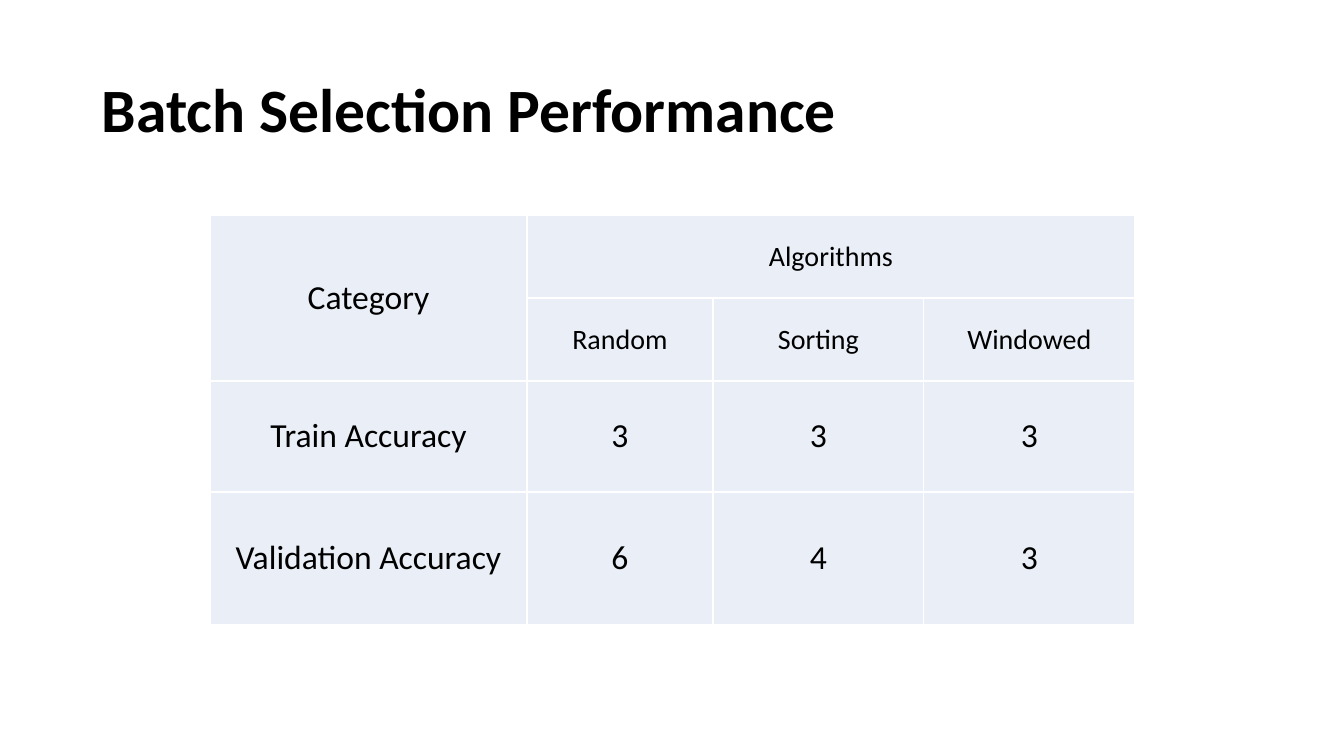
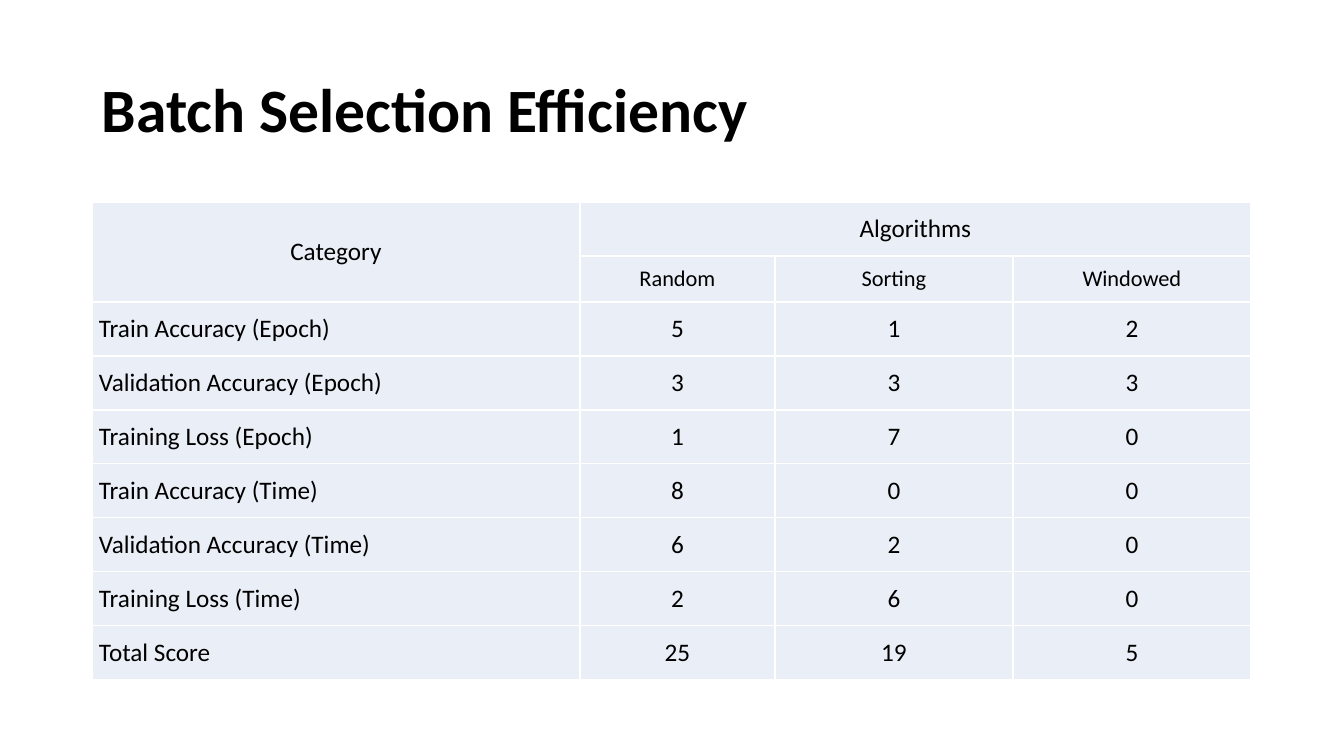
import pptx
import pptx.dml.color
import pptx.enum.text
import pptx.util
from lxml import etree

SLIDE_WIDTH, SLIDE_HEIGHT = 1344, 756
EMU_PER_PX = 12192000 / SLIDE_WIDTH
FONT = "Calibri"
TEXT, CELL_FILL, GRID = "000000", "EAEFF7", "FFFFFF"
ALIGN = pptx.enum.text.PP_ALIGN
MIDDLE = pptx.enum.text.MSO_ANCHOR.MIDDLE
DRAWING_NS = "http://schemas.openxmlformats.org/drawingml/2006/main"


def px(length):
    return pptx.util.Emu(round(length * EMU_PER_PX))


def write(frame, text, size, align, bold=False):
    paragraph = frame.paragraphs[0]
    paragraph.text = text
    paragraph.alignment = align
    font = paragraph.font
    font.name, font.size, font.bold = FONT, pptx.util.Pt(size), bold
    font.color.rgb = pptx.dml.color.RGBColor.from_string(TEXT)
    return paragraph


HEADER = [
    ["Category", "Algorithms", "", ""],
    ["", "Random", "Sorting", "Windowed"],
]
SLIDES = [
    {
        "title": "Batch Selection Performance",
        "corner": (210, 215),
        "columns": [317, 186, 211, 211],
        "rows": [83, 83, 111, 133],
        "body_size": 24, "group_size": 20, "algorithm_size": 20,
        "label_align": ALIGN.CENTER,
        "scores": [
            ["Train Accuracy", 3, 3, 3],
            ["Validation Accuracy", 6, 4, 3],
        ],
    },
    {
        "title": "Batch Selection Efficiency",
        "corner": (92, 202),
        "columns": [488, 195, 238, 238],
        "rows": [54, 46] + [54] * 7,
        "body_size": 18, "group_size": 18, "algorithm_size": 16,
        "label_align": ALIGN.JUSTIFY,
        "scores": [
            ["Train Accuracy (Epoch)", 5, 1, 2],
            ["Validation Accuracy (Epoch)", 3, 3, 3],
            ["Training Loss (Epoch)", 1, 7, 0],
            ["Train Accuracy (Time)", 8, 0, 0],
            ["Validation Accuracy (Time)", 6, 2, 0],
            ["Training Loss (Time)", 2, 6, 0],
            ["Total Score", 25, 19, 5],
        ],
    },
]

deck = pptx.Presentation()
deck.slide_width, deck.slide_height = px(SLIDE_WIDTH), px(SLIDE_HEIGHT)

for content in SLIDES:
    slide = deck.slides.add_slide(deck.slide_layouts[6])

    title = slide.shapes.add_textbox(px(92), px(40), px(1159), px(146)).text_frame
    title.word_wrap = True
    title.vertical_anchor = MIDDLE
    write(title, content["title"], 44, ALIGN.LEFT, bold=True).line_spacing = 0.9

    left, top = content["corner"]
    widths, heights = content["columns"], content["rows"]
    table = slide.shapes.add_table(
        len(heights), len(widths), px(left), px(top), px(sum(widths)), px(sum(heights))
    ).table
    table.first_row = table.horz_banding = False
    for column, width in zip(table.columns, widths):
        column.width = px(width)
    for row, height in zip(table.rows, heights):
        row.height = px(height)
    table.cell(0, 0).merge(table.cell(1, 0))
    table.cell(0, 1).merge(table.cell(0, 3))

    for r, values in enumerate(HEADER + content["scores"]):
        for c, value in enumerate(values):
            cell = table.cell(r, c)
            cell.margin_left = cell.margin_right = px(7)
            cell.margin_top = cell.margin_bottom = 0
            cell.vertical_anchor = MIDDLE

            # Borders must precede the fill in the cell properties.
            properties = cell._tc.get_or_add_tcPr()
            for side in ("lnL", "lnR", "lnT", "lnB"):
                border = etree.SubElement(
                    properties, f"{{{DRAWING_NS}}}{side}", w=str(pptx.util.Pt(1))
                )
                line_fill = etree.SubElement(border, f"{{{DRAWING_NS}}}solidFill")
                etree.SubElement(line_fill, f"{{{DRAWING_NS}}}srgbClr", val=GRID)
            cell.fill.solid()
            cell.fill.fore_color.rgb = pptx.dml.color.RGBColor.from_string(CELL_FILL)

            if cell.is_spanned:
                continue
            size = content["body_size"]
            if c > 0 and r < len(HEADER):
                size = content["group_size"] if r == 0 else content["algorithm_size"]
            is_label = c == 0 and r >= len(HEADER)
            align = content["label_align"] if is_label else ALIGN.CENTER
            write(cell.text_frame, str(value), size, align)

deck.save("out.pptx")
